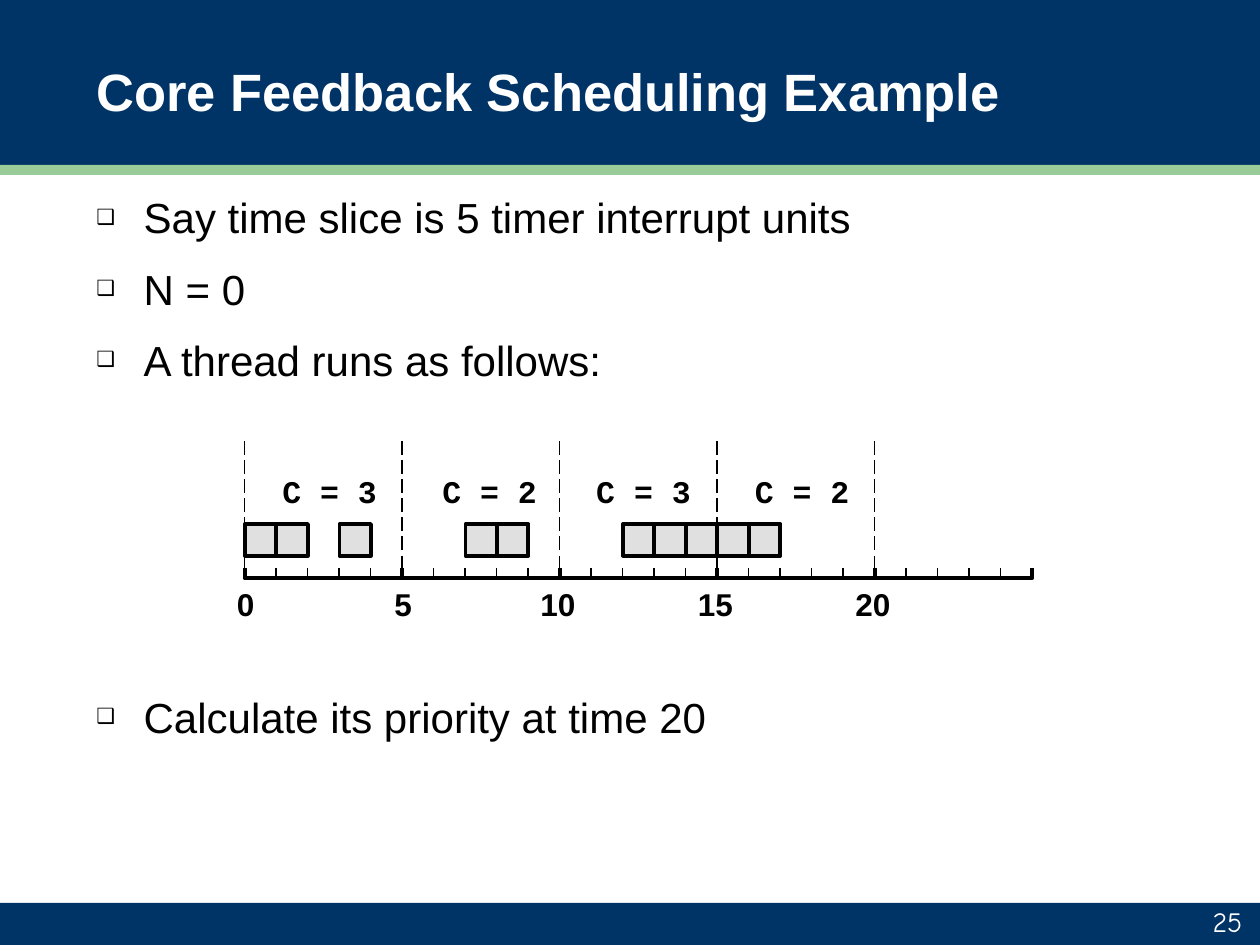
from lxml.etree import SubElement
from pptx import Presentation
from pptx.dml.color import RGBColor
from pptx.enum.dml import MSO_LINE
from pptx.enum.shapes import MSO_CONNECTOR, MSO_SHAPE
from pptx.enum.text import MSO_ANCHOR, PP_ALIGN
from pptx.oxml.ns import qn
from pptx.util import Pt

COLORS = {"navy": "003366", "green": "99CC99", "white": "FFFFFF",
          "black": "000000", "gray": "E0E0E0"}
UNIT = 18
SLICE = 5 * UNIT
BUSY_UNITS = (0, 1, 3, 7, 8, 12, 13, 14, 15, 16)
# Text of each slice and its distance from the start of the slice
COUNTS = (("C = 3", 14.3), ("C = 2", 15.8), ("C = 3", 13.7), ("C = 2", 14.3))
# Text of each mark, its distance from the tick and its width
MARKS = (("0", -11.5, 30), ("5", -11.5, 30), ("10", -18, 48),
         ("15", -18, 42), ("20", -18, 42))


def color(name):
    """Return the named colour."""
    return RGBColor.from_string(COLORS[name])


def points(*lengths):
    """Turn numbers into lengths in points."""
    return [Pt(length) for length in lengths]


def add_box(page, box, fill, line_width=0):
    """Add a filled rectangle, outlined in black if it has a line width."""
    shape = page.shapes.add_shape(MSO_SHAPE.RECTANGLE, *points(*box))
    shape.shadow.inherit = False
    shape.fill.solid()
    shape.fill.fore_color.rgb = color(fill)
    if line_width:
        shape.line.color.rgb = color("black")
        shape.line.width = Pt(line_width)
    else:
        shape.line.fill.background()


def add_line(page, start, end, dash=None):
    """Add a thin black line, dashed on request."""
    line = page.shapes.add_connector(MSO_CONNECTOR.STRAIGHT,
                                     *points(*start, *end))
    line.line.color.rgb = color("black")
    line.line.width = Pt(1)
    if dash:
        line.line.dash_style = dash
    SubElement(line._element.spPr, qn("a:effectLst"))


def add_text(page, box, lines, size, ink="black", font="Arial", bold=False,
             align=PP_ALIGN.LEFT, anchor=MSO_ANCHOR.TOP, wrap=True):
    """Add a text box with one paragraph a line and return its paragraphs."""
    frame = page.shapes.add_textbox(*points(*box)).text_frame
    frame.word_wrap = wrap
    frame.vertical_anchor = anchor
    frame.text = "\n".join(lines)
    for para in frame.paragraphs:
        para.alignment = align
        para.font.name = font
        para.font.size = Pt(size)
        para.font.bold = bold
        para.font.color.rgb = color(ink)
    return frame.paragraphs


def add_bullet(para, indent):
    """Give a paragraph a hanging box bullet at half size."""
    props = para._p.get_or_add_pPr()
    props.set("marL", str(Pt(indent)))
    props.set("indent", str(Pt(-indent)))
    tint = SubElement(props, qn("a:buClr"))
    SubElement(tint, qn("a:srgbClr"), val=COLORS["black"])
    SubElement(props, qn("a:buSzPct"), val="50000")
    SubElement(props, qn("a:buFont"), typeface="Arial")
    SubElement(props, qn("a:buChar"), char="\u2751")
    # The default run properties must follow the bullet
    props.append(props.find(qn("a:defRPr")))


def add_header(page, left, top, width, height):
    """Draw the title band with its green rule."""
    add_box(page, (left, top, width, height), "navy")
    add_box(page, (left, top + height - 5.75, width, 5.75), "green")
    add_text(page, (left + 48, top + 3.6, width - 96, 96),
             ["Core Feedback Scheduling Example"], 30, "white", bold=True,
             anchor=MSO_ANCHOR.MIDDLE)


def add_footer(page, left, top, width, height):
    """Draw the bottom band with the page number."""
    add_box(page, (left, top, width, height), "navy")
    add_text(page, (left + width - 153, top + 0.75, 150, 23), ["25"], 16,
             "white", "Comic Neue", align=PP_ALIGN.RIGHT,
             anchor=MSO_ANCHOR.BOTTOM)


def add_body(page, left, top, width, height):
    """Write the bullets, with room for the timeline before the last."""
    paras = add_text(page, (left, top, width, height),
                     ["Say time slice is 5 timer interrupt units", "N = 0",
                      "A thread runs as follows:",
                      "Calculate its priority at time 20"], 24)
    for para in paras:
        para.space_after = Pt(12)
        add_bullet(para, 27)
    paras[-1].space_before = Pt(163.2)


def add_slice_axis(page, left, axis, tick):
    """Draw the axis of one time slice, with a tick for each unit."""
    right = left + SLICE
    builder = page.shapes.build_freeform(Pt(left), Pt(axis - tick))
    builder.add_line_segments(
        [points(left, axis), points(right, axis), points(right, axis - tick)],
        close=False)
    bracket = builder.convert_to_shape()
    bracket.shadow.inherit = False
    bracket.fill.background()
    bracket.line.color.rgb = color("black")
    bracket.line.width = Pt(2.25)
    for unit in range(1, 5):
        x = left + unit * UNIT
        add_line(page, (x, axis), (x, axis - tick))


def add_timeline(page, left, top, height):
    """Draw five time slices, the busy units and the counts."""
    axis = top + height
    for index in range(5):
        add_slice_axis(page, left + index * SLICE, axis, 5.75)
    for index, (mark, shift, width) in enumerate(MARKS):
        add_text(page, (left + index * SLICE + shift, axis, width, 29),
                 [mark], 18, bold=True)
    for unit in BUSY_UNITS:
        add_box(page, (left + unit * UNIT + 0.25, top + 47.5, UNIT, UNIT),
                "gray", 2.25)
    for index, (count, shift) in enumerate(COUNTS):
        add_text(page, (left + index * SLICE + shift, top + 14.4, 68.5, 29),
                 [count], 18, font="Courier New", bold=True,
                 align=PP_ALIGN.CENTER, wrap=False)
    for index in range(5):
        x = left + index * SLICE
        add_line(page, (x, top), (x, axis), MSO_LINE.LONG_DASH)


deck = Presentation()
deck.slide_width, deck.slide_height = points(720, 540)
page = deck.slides.add_slide(deck.slide_layouts[6])
add_header(page, 0, 0, 720, 100)
add_footer(page, 0, 516, 720, 24)
add_body(page, 48, 106, 624, 408)
add_timeline(page, 139.75, 252, 78.5)
deck.save("out.pptx")
